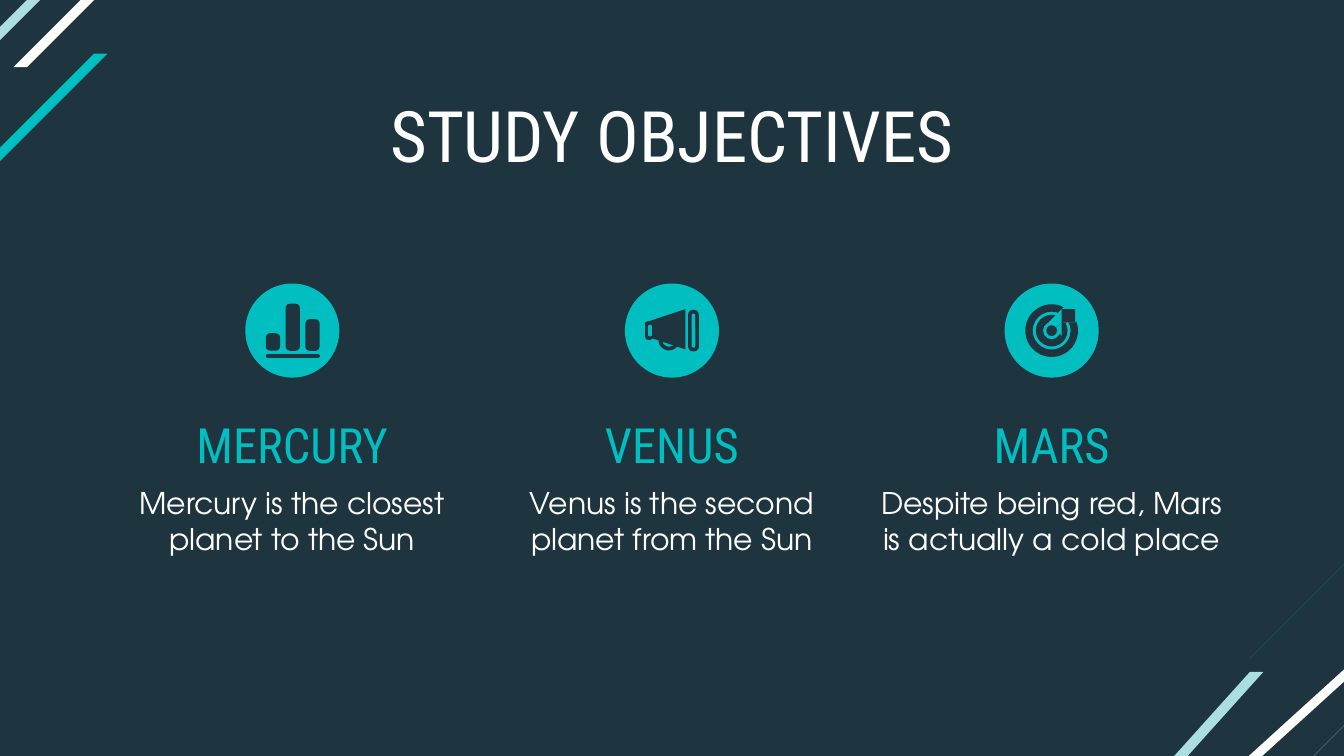
from dataclasses import dataclass

from pptx import Presentation
from pptx import util as u
from pptx.dml.color import RGBColor
from pptx.enum import shapes, text

COLORS = {"night": "1E343F", "teal": "01BEC0", "mist": "ABDFDF", "white": "FFFFFF"}
HEADING_FONT = "Roboto Condensed"
BODY_FONT = "TeX Gyre Adventor"

deck = Presentation()
deck.slide_width = u.Inches(10)
deck.slide_height = deck.slide_width * 9 // 16
CELL = deck.slide_width // 100
slide = deck.slides.add_slide(deck.slide_layouts[6])
slide.background.fill.solid()
slide.background.fill.fore_color.rgb = RGBColor.from_string(COLORS["night"])

CENTER = 50
COLUMN_PITCH = 28.25
ICON_ROW = 24.6
STRIPE_THICKNESS = 0.68


@dataclass
class Stripe:
    left: float
    top: float
    rise: float
    color: str


@dataclass
class Part:
    kind: shapes.MSO_SHAPE
    left: float
    top: float
    width: float
    height: float
    color: str = "night"
    adjustment: float | None = None


@dataclass
class Outline:
    points: list[tuple[float, float]]
    color: str = "night"


@dataclass
class Objective:
    planet: str
    fact: str
    icon: list[Part | Outline]


def paint(shape, color: str) -> None:
    shape.shadow.inherit = False
    shape.fill.solid()
    shape.fill.fore_color.rgb = RGBColor.from_string(COLORS[color])
    shape.line.fill.background()


def draw_outline(outline: Outline, x: float = 0, y: float = 0) -> None:
    corners = [(x + dx, y + dy) for dx, dy in outline.points]
    builder = slide.shapes.build_freeform(*corners[0], scale=CELL)
    builder.add_line_segments(corners[1:], close=True)
    paint(builder.convert_to_shape(), outline.color)


def draw_stripe(stripe: Stripe) -> None:
    rise, thick = stripe.rise, STRIPE_THICKNESS
    corners = [(rise, 0), (0, rise), (thick, rise), (rise + thick, 0)]
    draw_outline(Outline(corners, stripe.color), stripe.left, stripe.top)


def draw_part(part: Part, x: float, y: float) -> None:
    box = (x + part.left, y + part.top, part.width, part.height)
    shape = slide.shapes.add_shape(part.kind, *(round(n * CELL) for n in box))
    if part.adjustment is not None:
        shape.adjustments[0] = part.adjustment
    paint(shape, part.color)


def draw_text(words: str, center: float, top: float, width: float, height: float,
              size: float, font: str, color: str, anchor: text.MSO_ANCHOR) -> None:
    box = (center - width / 2, top, width, height)
    frame = slide.shapes.add_textbox(*(round(n * CELL) for n in box)).text_frame
    frame.word_wrap = True
    frame.vertical_anchor = anchor
    frame.margin_left = frame.margin_right = CELL
    frame.margin_top = frame.margin_bottom = CELL
    frame.text = words
    paragraph = frame.paragraphs[0]
    paragraph.alignment = text.PP_ALIGN.CENTER
    for run in paragraph.runs:
        run.font.size = u.Pt(size)
        run.font.name = font
        run.font.color.rgb = RGBColor.from_string(COLORS[color])


def rounded(left: float, top: float, width: float, height: float,
            color: str = "night", corner: float = 0.3) -> Part:
    return Part(shapes.MSO_SHAPE.ROUNDED_RECTANGLE, left, top, width, height, color, corner)


def disc(radius: float, color: str = "night") -> Part:
    return Part(shapes.MSO_SHAPE.OVAL, -radius, -radius, 2 * radius, 2 * radius, color)


def ring(radius: float, thickness: float, dx: float = 0, dy: float = 0) -> Part:
    return Part(shapes.MSO_SHAPE.DONUT, dx - radius, dy - radius, 2 * radius, 2 * radius,
                adjustment=thickness / (2 * radius))


def draw_objective(objective: Objective, x: float) -> None:
    for part in [disc(3.5, "teal"), *objective.icon]:
        draw = draw_outline if isinstance(part, Outline) else draw_part
        draw(part, x, ICON_ROW)
    middle, top = text.MSO_ANCHOR.MIDDLE, text.MSO_ANCHOR.TOP
    draw_text(objective.planet, x, 29.7, 28.1, 6.7, 26, HEADING_FONT, "teal", middle)
    draw_text(objective.fact, x, 35.1, 28.1, 7, 16, BODY_FONT, "white", top)


bar_chart = [rounded(-1.97, 1.75, 4.02, 0.27, corner=0.5)] + [
    rounded(-1.97 + 1.47 * i, 1.5 - height, 1.06, height)
    for i, height in enumerate((1.3, 3.5, 2.35))
]
megaphone = [
    ring(0.78, 0.27, -0.22, 0.7),
    Outline([(-1.6, -0.5), (1.3, -1.35), (1.3, 1.35), (-1.6, 0.6)]),
    rounded(-2, -0.7, 0.6, 1.4, corner=0.45),
    rounded(-1.77, -0.42, 0.27, 0.84, "teal", 0.3),
    rounded(1.2, -1.55, 0.8, 3.1, corner=0.45),
    rounded(1.46, -1.27, 0.27, 2.54, "teal", 0.5),
]
target = [
    ring(1.96, 0.55),
    ring(1.18, 0.53),
    Outline([(0, -0.5), (0.55, -1.2), (0.7, -1.7), (1.55, -2.4),
             (2.45, -1.6), (1.8, -0.8), (1.1, -0.5), (0.5, 0.1)], "teal"),
    disc(0.4),
    Outline([(-0.15, 0.05), (0.75, -0.9), (0.75, -1.35), (1.4, -2), (1.5, -1.95),
             (1.55, -1.5), (1.95, -1.6), (2, -1.4), (1.45, -0.85),
             (0.95, -0.7), (0.1, 0.1)]),
]

stripes = [
    Stripe(-3.9, -3.4, 9, "mist"),
    Stripe(1.4, -5.8, 10.8, "white"),
    Stripe(91.3, 47.5, 10.8, "white"),
    Stripe(84.1, 50.5, 9.1, "mist"),
    Stripe(92.7, 38.1, 10.8, "teal"),
    Stripe(93.7, 54.4, 6, "white"),
    Stripe(-3.9, 3.9, 10.8, "teal"),
]
objectives = [
    Objective("MERCURY", "Mercury is the closest planet to the Sun", bar_chart),
    Objective("VENUS", "Venus is the second planet from the Sun", megaphone),
    Objective("MARS", "Despite being red, Mars is actually a cold place", target),
]

for stripe in stripes:
    draw_stripe(stripe)
draw_text("STUDY OBJECTIVES", CENTER, 5.9, 84.4, 8.2, 38, HEADING_FONT, "white",
          text.MSO_ANCHOR.MIDDLE)
for column, objective in enumerate(objectives, start=-1):
    draw_objective(objective, CENTER + column * COLUMN_PITCH)

deck.save("out.pptx")
